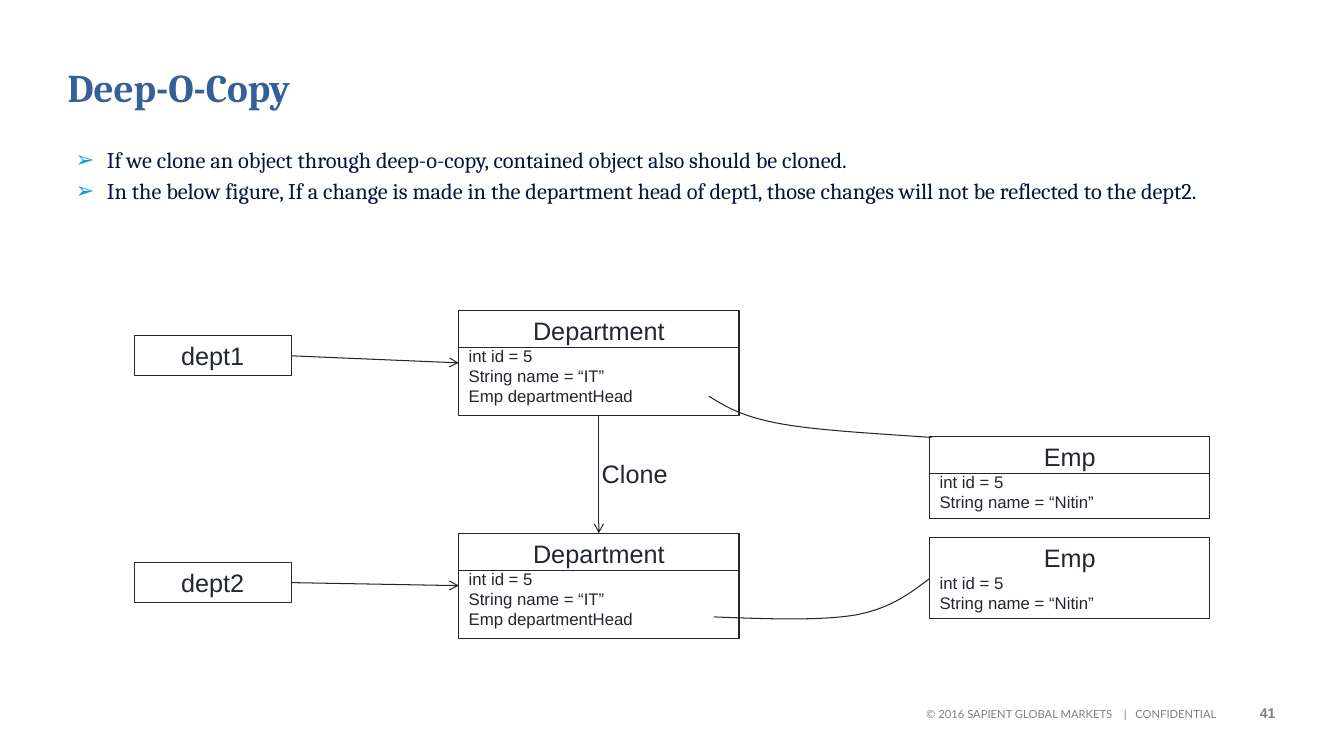
from dataclasses import dataclass

import pptx
import pptx.dml.color
import pptx.enum.shapes
import pptx.enum.text
import pptx.oxml.ns
import pptx.oxml.xmlchemy
import pptx.util

PX = 9144  # EMU per px, 100 px to the inch
INK = "22262E"
ALIGN = pptx.enum.text.PP_ALIGN
ANCHOR = pptx.enum.text.MSO_ANCHOR


@dataclass
class Box:
    name: str
    x: int
    y: int
    w: int
    h: int
    fields: tuple[str, ...] = ()
    divided: bool = False


@dataclass
class Curve:
    """Start point, then three points for each cubic segment."""
    points: list[tuple[int, int]]


def px(*lengths: int) -> list[pptx.util.Emu]:
    return [pptx.util.Emu(n * PX) for n in lengths]


def rgb(value: str) -> pptx.dml.color.RGBColor:
    return pptx.dml.color.RGBColor.from_string(value)


def sub(parent, tag: str, **attrs: str):
    e = pptx.oxml.xmlchemy.OxmlElement(tag)
    for key, value in attrs.items():
        e.set(key, value)
    parent.append(e)
    return e


def write(tf, text: str, *, size: float, font: str = "Arial", color: str = INK,
          bold: bool = False, align=ALIGN.LEFT, first: bool = True,
          before: float = 0, spacing: float = 1.0, bullet: str = "",
          bullet_color: str = INK, indent: int = 0) -> None:
    p = tf.paragraphs[0] if first else tf.add_paragraph()
    if bullet:
        pPr = p._p.get_or_add_pPr()
        pPr.set("marL", str(indent * PX))
        pPr.set("indent", str(-indent * PX))
        sub(sub(pPr, "a:buClr"), "a:srgbClr", val=bullet_color)
        sub(pPr, "a:buChar", char=bullet)
    p.alignment = align
    p.line_spacing = spacing
    p.space_before = pptx.util.Pt(0 if first else before)
    r = p.add_run()
    r.text = text
    r.font.size = pptx.util.Pt(size)
    r.font.name = font
    r.font.bold = bold
    r.font.color.rgb = rgb(color)


def frame(s, margins: tuple[int, int, int, int] = (10, 5, 10, 5), anchor=ANCHOR.TOP):
    tf = s.text_frame
    tf.word_wrap = True
    tf.auto_size = pptx.enum.text.MSO_AUTO_SIZE.NONE
    tf.vertical_anchor = anchor
    tf.margin_left, tf.margin_top, tf.margin_right, tf.margin_bottom = px(*margins)
    return tf


def place(s, x: int, y: int, w: int, h: int):
    s.left, s.top, s.width, s.height = px(x, y, w, h)
    return s


def stroke(s) -> None:
    s.line.color.rgb = rgb(INK)
    s.line.width = pptx.util.Pt(0.75)


def add_line(shapes, x1: int, y1: int, x2: int, y2: int):
    s = shapes.add_connector(pptx.enum.shapes.MSO_CONNECTOR.STRAIGHT, *px(x1, y1, x2, y2))
    stroke(s)
    sub(s._element.spPr, "a:effectLst")
    return s


def add_arrow(shapes, start, start_site: int, end, end_site: int) -> None:
    s = add_line(shapes, 0, 0, 1, 1)
    s.begin_connect(start, start_site)
    s.end_connect(end, end_site)
    sub(s._element.spPr.find(pptx.oxml.ns.qn("a:ln")), "a:tailEnd", type="arrow")


def add_box(shapes, box: Box):
    s = shapes.add_shape(pptx.enum.shapes.MSO_SHAPE.RECTANGLE, *px(box.x, box.y, box.w, box.h))
    s.shadow.inherit = False
    s.fill.background()
    stroke(s)
    tf = frame(s)
    write(tf, box.name, size=18, align=ALIGN.CENTER)
    for field in box.fields:
        write(tf, field, size=12, first=False)
    if box.divided:
        add_line(shapes, box.x, box.y + 37, box.x + box.w, box.y + 37)
    return s


def add_curve(shapes, curve: Curve) -> None:
    builder = shapes.build_freeform(*curve.points[0], scale=PX)
    builder.add_line_segments(curve.points[1:], close=False)
    s = builder.convert_to_shape()
    s.shadow.inherit = False
    s.fill.background()
    stroke(s)
    # Each three straight steps become one cubic segment
    outline = s._element.find(".//" + pptx.oxml.ns.qn("a:path"))
    steps = outline.findall(pptx.oxml.ns.qn("a:lnTo"))
    for i in range(0, len(steps), 3):
        cubic = sub(outline, "a:cubicBezTo")
        for step in steps[i:i + 3]:
            cubic.append(step[0])
            outline.remove(step)


DEPT_FIELDS = ("int id = 5", "String name = “IT”", "Emp departmentHead")
EMP_FIELDS = ("int id = 5", "String name = “Nitin”")
BOXES = {
    "dept1": Box("dept1", 133, 333, 156, 40),
    "dept2": Box("dept2", 133, 558, 156, 40),
    "department1": Box("Department", 455, 308, 278, 104, DEPT_FIELDS, True),
    "department2": Box("Department", 455, 529, 278, 104, DEPT_FIELDS, True),
    "emp1": Box("Emp", 922, 433, 278, 81, EMP_FIELDS, True),
    "emp2": Box("Emp", 922, 533, 278, 81, EMP_FIELDS),
}
ARROWS = [("dept1", 3, "department1", 1), ("dept2", 3, "department2", 1),
          ("department1", 2, "department2", 0)]
CURVES = [
    Curve([(703, 393), (719, 403), (735, 413), (772, 420),
           (809, 427), (867, 430), (924, 434)]),
    Curve([(708, 612), (760, 614), (813, 616), (849, 610),
           (885, 603), (903, 588), (922, 574)]),
]
BULLETS = [
    "If we clone an object through deep-o-copy, contained object also should be cloned.",
    "In the below figure, If a change is made in the department head of dept1, "
    "those changes will not be reflected to the dept2.",
]


def main() -> None:
    prs = pptx.Presentation()
    prs.slide_width, prs.slide_height = px(1333, 750)
    slide = prs.slides.add_slide(prs.slide_layouts[1])
    shapes = slide.shapes

    # Title and list
    title = place(shapes.title, 67, 58, 1201, 55)
    write(frame(title, (0, 5, 0, 0)), "Deep-O-Copy", size=28, font="Cambria",
          color="355F99", bold=True)
    tf = frame(place(slide.placeholders[1], 65, 140, 1201, 192))
    for i, text in enumerate(BULLETS):
        write(tf, text, size=16, font="Cambria", color="05153A", align=ALIGN.JUSTIFY,
              first=i == 0, before=3.2, bullet="➢", bullet_color="1499E6", indent=31)

    # Object diagram
    drawn = {key: add_box(shapes, box) for key, box in BOXES.items()}
    for start, start_site, end, end_site in ARROWS:
        add_arrow(shapes, drawn[start], start_site, drawn[end], end_site)
    for curve in CURVES:
        add_curve(shapes, curve)
    write(frame(shapes.add_textbox(*px(587, 450, 113, 40))), "Clone", size=18)

    # Footer
    footer = shapes.add_textbox(*px(824, 697, 393, 24))
    write(frame(footer), "© 2016 SAPIENT GLOBAL MARKETS    |   CONFIDENTIAL", size=8,
          font="Lato", color="808080", align=ALIGN.RIGHT, spacing=1.01)
    number = shapes.add_textbox(*px(1220, 690, 45, 35))
    write(frame(number, (0, 0, 0, 0), ANCHOR.MIDDLE), "41", size=10, color="7F7F7F",
          bold=True, align=ALIGN.RIGHT, spacing=1.01)

    prs.save("out.pptx")


if __name__ == "__main__":
    main()
